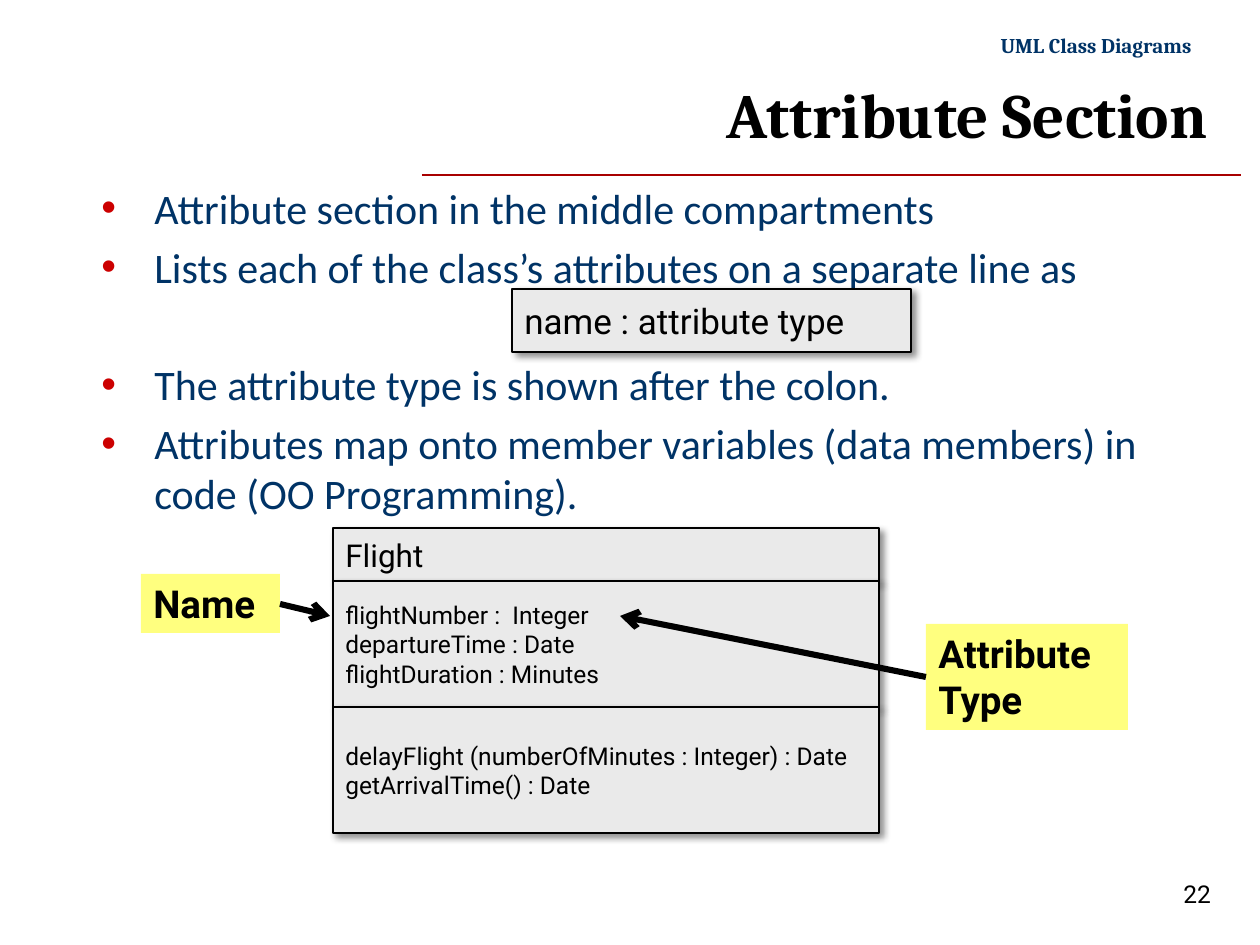
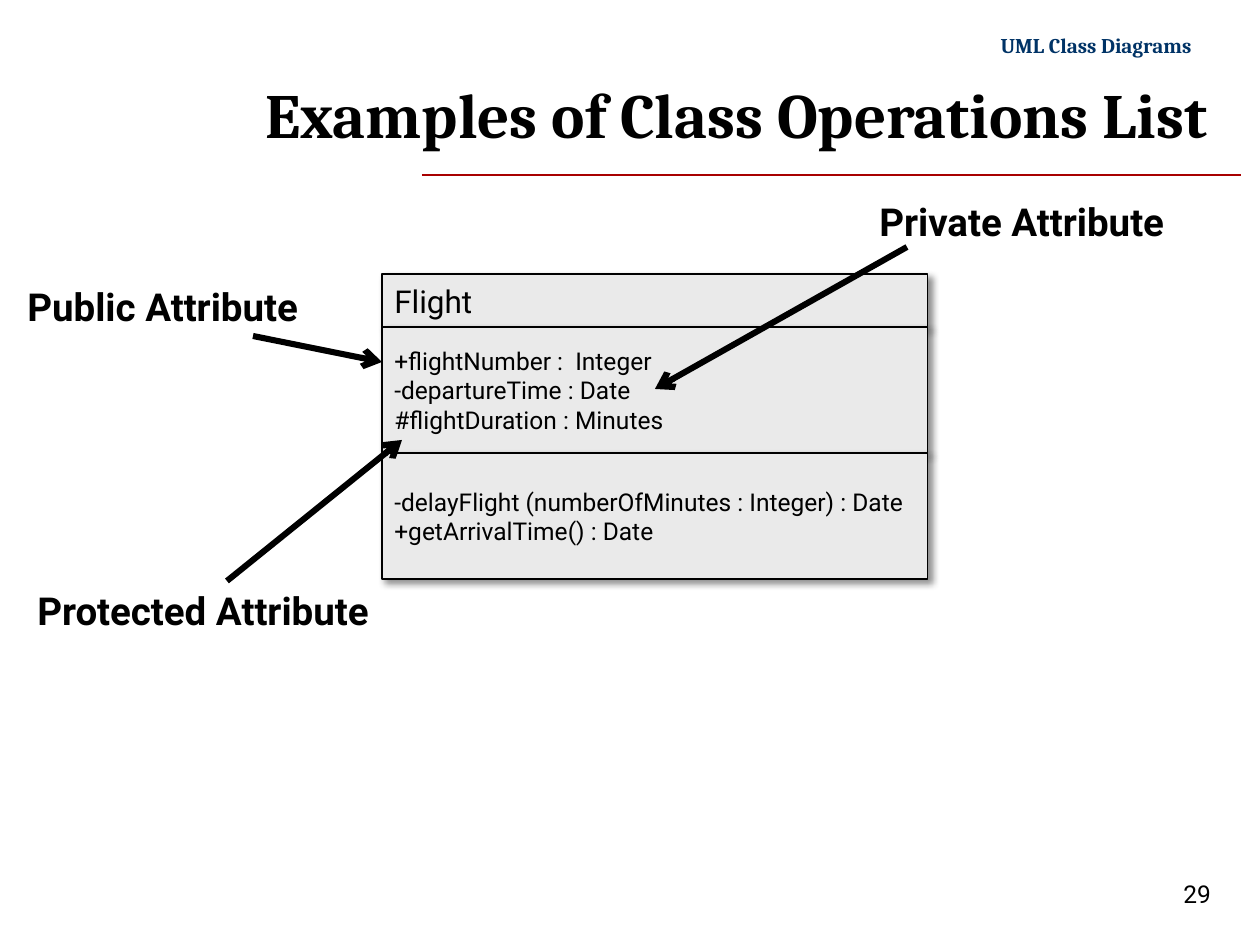
from lxml import etree
from pptx import Presentation, util as u
from pptx.dml.color import RGBColor
from pptx.enum import shapes, text
from pptx.oxml.ns import qn

PX = 914400 // 126
BLACK = RGBColor(0x00, 0x00, 0x00)
NAVY = RGBColor(0x00, 0x33, 0x66)
RED = RGBColor(0xCC, 0x00, 0x00)
RULE_RED = RGBColor(0xA8, 0x00, 0x00)
GREY = RGBColor(0xEA, 0xEA, 0xEA)
YELLOW = RGBColor(0xFF, 0xFF, 0x00)
SERIF, SANS, BODY = "Cambria", "Roboto", "Calibri"
LEFT, RIGHT = text.PP_ALIGN.LEFT, text.PP_ALIGN.RIGHT
TOP, MIDDLE = text.MSO_ANCHOR.TOP, text.MSO_ANCHOR.MIDDLE


def emu(*pixels):
    """Turn pixel lengths into EMU."""
    return [u.Emu(round(n * PX)) for n in pixels]


def child(parent, tag, **attrs):
    """Append an XML element with the given attributes."""
    el = etree.SubElement(parent, qn(tag))
    for name, value in attrs.items():
        el.set(name, str(value))
    return el


def write(sp, lines, size, font=SANS, color=BLACK, bold=False, align=LEFT, anchor=TOP):
    """Fill a shape with one paragraph for each line."""
    tf = sp.text_frame
    tf.word_wrap = True
    tf.auto_size = text.MSO_AUTO_SIZE.NONE
    tf.vertical_anchor = anchor
    for i, line in enumerate(lines):
        p = tf.add_paragraph() if i else tf.paragraphs[0]
        p.alignment = align
        r = p.add_run()
        r.text = line
        r.font.size, r.font.name, r.font.bold = u.Pt(size), font, bold
        r.font.color.rgb = color
    return tf


def add_text(s, box, lines, size, **style):
    """Add a text box."""
    return write(s.shapes.add_textbox(*emu(*box)), lines, size, **style)


def add_line(s, start, end, color, width, arrow=False):
    """Add a straight line, with an arrowhead at its end if asked."""
    sp = s.shapes.add_connector(shapes.MSO_CONNECTOR.STRAIGHT, *emu(*start, *end))
    sp.line.color.rgb, sp.line.width = color, u.Pt(width)
    if arrow:
        child(sp.line._get_or_add_ln(), "a:tailEnd", type="arrow")
    child(sp._element.spPr, "a:effectLst")


def add_arrow(s, start, end):
    """Point from a label to a part of the class."""
    add_line(s, start, end, BLACK, 3.5, arrow=True)


def add_rect(s, box, fill):
    """Add a plain rectangle without shadow."""
    sp = s.shapes.add_shape(shapes.MSO_SHAPE.RECTANGLE, *emu(*box))
    sp.shadow.inherit = False
    sp.fill.solid()
    sp.fill.fore_color.rgb = fill
    return sp


def add_panel(s, box, lines, size):
    """Add a grey outlined panel with a soft drop shadow."""
    sp = add_rect(s, box, GREY)
    sp.line.color.rgb, sp.line.width = BLACK, u.Pt(0.75)
    effects = sp._element.spPr.find(qn("a:effectLst"))
    shadow = child(effects, "a:outerShdw", blurRad=u.Pt(4), dist=u.Pt(3),
                   dir=45 * 60000, algn="tl", rotWithShape=0)
    child(child(shadow, "a:srgbClr", val=BLACK), "a:alpha", val=43000)
    write(sp, lines, size, anchor=MIDDLE)


def add_class(s, left, top, attributes, operations):
    """Stack the three compartments of the Flight class."""
    for height, lines, size in ((53, ["Flight"], 18), (126, attributes, 14),
                                (126, operations, 14)):
        add_panel(s, (left, top, 546, height), lines, size)
        top += height


def add_tag(s, box, lines):
    """Add a bold label on half-transparent yellow."""
    sp = add_rect(s, box, YELLOW)
    sp.line.fill.background()
    color = sp._element.spPr.find(qn("a:solidFill"))[0]
    child(color, "a:alpha", val=50000)
    write(sp, lines, 22, bold=True)


def add_bullets(s, box, lines, gap_before):
    """Add the bullet list, leaving one blank line before one item."""
    tf = add_text(s, box, lines, 24, font=BODY, color=NAVY)
    for i, p in enumerate(tf.paragraphs):
        p.space_before = u.Pt(38.4 if i == gap_before else 4.8 if i else 0)
        pPr = p._p.get_or_add_pPr()
        indent = emu(53)[0]
        pPr.set("marL", str(indent))
        pPr.set("indent", str(-indent))
        child(child(pPr, "a:buClr"), "a:srgbClr", val=RED)
        child(pPr, "a:buFont", typeface="Arial")
        child(pPr, "a:buChar", char="•")


def add_slide(prs, title, title_left, number):
    """Start a slide with the shared header, title, rule and number."""
    s = prs.slides.add_slide(prs.slide_layouts[5])
    add_line(s, (422, 175), (1241, 175), RULE_RED, 0.75)
    add_text(s, (953, 26, 251, 38), ["UML Class Diagrams"], 12,
             font=SERIF, color=NAVY, bold=True, align=RIGHT)
    add_text(s, (1171, 873, 89, 43), [number], 14)
    sp = s.shapes.title
    sp.left, sp.top, sp.width, sp.height = emu(title_left, 66, 1220 - title_left, 94)
    write(sp, [title], 36, font=SERIF, bold=True, align=RIGHT, anchor=MIDDLE)
    return s


def attribute_slide(prs):
    """Explain the attribute section of a class."""
    s = add_slide(prs, "Attribute Section", 253, "22")
    add_bullets(s, (89, 176, 1105, 348), [
        "Attribute section in the middle compartments",
        "Lists each of the class’s attributes on a separate line as",
        "The attribute type is shown after the colon.",
        "Attributes map onto member variables (data members) in code (OO Programming).",
    ], gap_before=2)
    add_class(s, 333, 528,
              ["flightNumber :  Integer", "departureTime : Date", "flightDuration : Minutes"],
              ["delayFlight (numberOfMinutes : Integer) : Date", "getArrivalTime() : Date"])
    add_tag(s, (141, 574, 139, 59), ["Name"])
    add_tag(s, (926, 624, 202, 106), ["Attribute", "Type"])
    add_arrow(s, (280, 604), (330, 616))
    add_arrow(s, (926, 677), (620, 616))
    add_panel(s, (512, 289, 399, 63), ["name : attribute type"], 20)


def visibility_slide(prs):
    """Show the visibility marks of a class."""
    s = add_slide(prs, "Examples of Class Operations List", 194, "29")
    add_class(s, 382, 274,
              ["+flightNumber :  Integer", "-departureTime : Date", "#flightDuration : Minutes"],
              ["-delayFlight (numberOfMinutes : Integer) : Date", "+getArrivalTime() : Date"])
    for label, left, top, width, start, end in (
            ("Public Attribute", 15, 277, 333, (253, 336), (382, 362)),
            ("Private Attribute", 867, 192, 352, (907, 247), (655, 389)),
            ("Protected Attribute", 25, 581, 403, (227, 581), (402, 440))):
        add_text(s, (left, top, width, 59), [label], 22, bold=True)
        add_arrow(s, start, end)


prs = Presentation()
prs.slide_width, prs.slide_height = emu(1260, 945)
attribute_slide(prs)
visibility_slide(prs)
prs.save("out.pptx")
